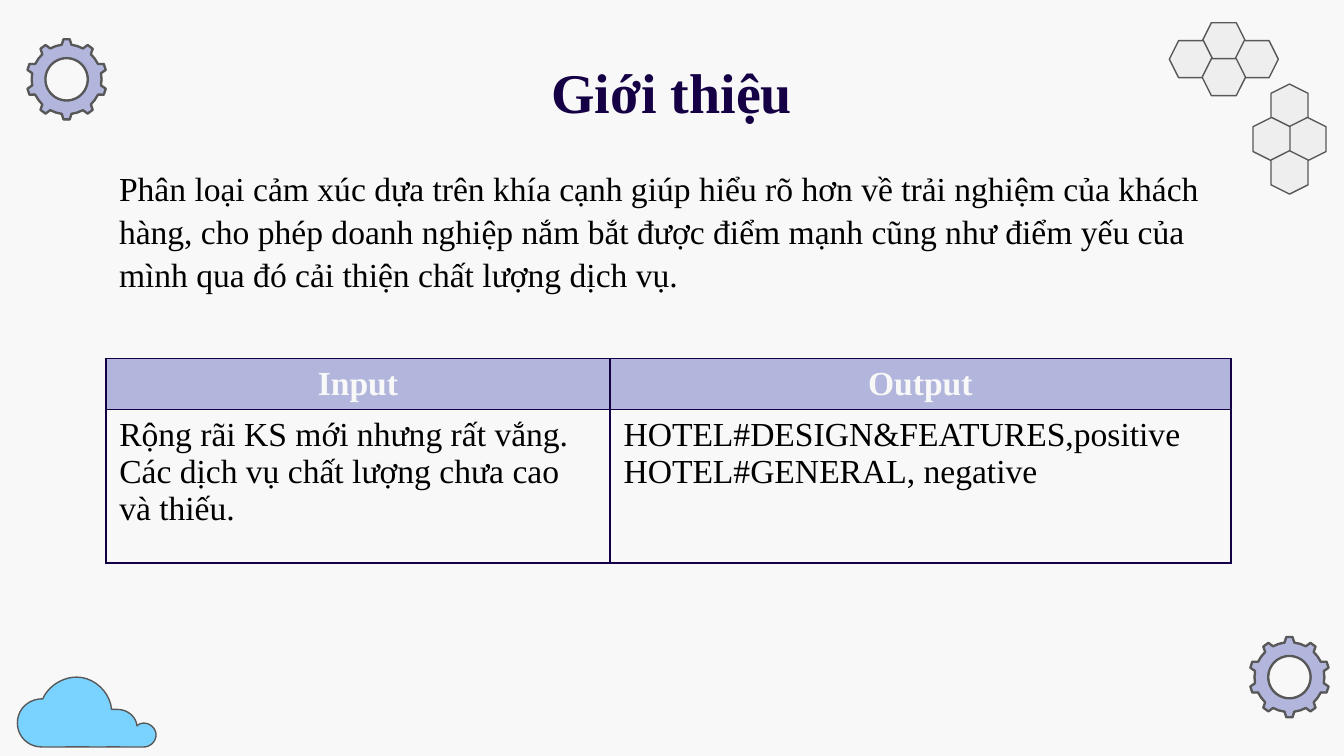
import math

from lxml import etree
from pptx import Presentation
from pptx import util as u
from pptx.dml import color
from pptx.enum import shapes, text
from pptx.oxml import ns

INK, PAPER, LILAC = "150045", "F8F8F8", "B2B6DC"
OUTLINE, SKY, PALE, BLACK = "585858", "7AD3FF", "EEEEEE", "000000"

CLOUD_START = (1.45, 12.8)
CLOUD_CURVES = [
    [(1.17, 12.8), (0.91, 12.98), (0.81, 13.21)],
    [(0.53, 13.21), (0.33, 13.41), (0.33, 13.67)],
    [(0.33, 13.92), (0.53, 14.12), (0.79, 14.12)],
    [(1.43, 14.12), (2.08, 14.12), (2.72, 14.12)],
    [(2.84, 14.12), (2.95, 14.02), (2.95, 13.89)],
    [(2.95, 13.77), (2.84, 13.67), (2.72, 13.67)],
    [(2.67, 13.67), (2.62, 13.69), (2.59, 13.72)],
    [(2.57, 13.54), (2.41, 13.41), (2.21, 13.41)],
    [(2.18, 13.41), (2.13, 13.41), (2.11, 13.41)],
    [(2.08, 13.08), (1.78, 12.8), (1.45, 12.8)],
]


def rgb(value):
    return color.RGBColor.from_string(value)


def write(frame, words, size=18, ink=BLACK, bold=False,
          align=text.PP_ALIGN.LEFT, spacing=None):
    paragraph = frame.paragraphs[0]
    paragraph.text = words
    paragraph.alignment = align
    if spacing:
        paragraph.line_spacing = spacing
    for run in paragraph.runs:
        run.font.name = "Times New Roman"
        run.font.size = u.Pt(size)
        run.font.bold = bold
        run.font.color.rgb = rgb(ink)


def smooth_outline(start, curves, steps=10):
    points = [start]
    for a, b, end in curves:
        p = points[-1]
        for i in range(1, steps + 1):
            t = i / steps
            s = 1 - t
            points.append(tuple(
                s**3 * p[k] + 3 * s * s * t * a[k] + 3 * s * t * t * b[k] + t**3 * end[k]
                for k in (0, 1)))
    return points


def polar(cx, cy, radius, degrees):
    angle = math.radians(degrees)
    return cx + radius * math.cos(angle), cy + radius * math.sin(angle)


class SlideBuilder:
    def __init__(self, deck):
        self.slide = deck.slides.add_slide(deck.slide_layouts[5])
        self.slide.background.fill.solid()
        self.slide.background.fill.fore_color.rgb = rgb(PAPER)

    def dress(self, shape, fill, width=0.75):
        shape.shadow.inherit = False
        if fill:
            shape.fill.solid()
            shape.fill.fore_color.rgb = rgb(fill)
        else:
            shape.fill.background()
        shape.line.color.rgb = rgb(OUTLINE)
        shape.line.width = u.Pt(width)

    def outline(self, contours, fill, width=0.75):
        contours = [[(u.Cm(x), u.Cm(y)) for x, y in contour] for contour in contours]
        builder = self.slide.shapes.build_freeform(*contours[0][0])
        for i, contour in enumerate(contours):
            if i:
                builder.move_to(*contour[0])
            builder.add_line_segments(contour[1:], close=True)
        self.dress(builder.convert_to_shape(), fill, width)

    def gear(self, cx, cy, teeth=10):
        profile = [(0.66, -8), (0.76, -4.5), (0.76, 4.5), (0.66, 8), (0.66, 18)]
        rim = [polar(cx, cy, radius, tooth * 360 / teeth - 90 + turn)
               for tooth in range(teeth) for radius, turn in profile]
        hole = [polar(cx, cy, 0.4, -turn) for turn in range(0, 360, 6)]
        self.outline([rim, hole], LILAC)
        self.outline([rim, hole], None, 1.25)

    def honeycomb(self, cx, cy, rotation=0):
        width, height = 0.82, 0.7
        dx, dy = (0.34, 0.63) if rotation else (0.62, 0.34)
        for x, y in [(0, -dy), (dx, 0), (-dx, 0), (0, dy)]:
            cell = self.slide.shapes.add_shape(
                shapes.MSO_SHAPE.HEXAGON, u.Cm(cx + x - width / 2),
                u.Cm(cy + y - height / 2), u.Cm(width), u.Cm(height))
            cell.adjustments[0] = 0.25
            cell.rotation = rotation
            self.dress(cell, PALE)

    def title(self, words, left, top, width, height):
        heading = self.slide.shapes.title
        heading.left, heading.top = u.Cm(left), u.Cm(top)
        heading.width, heading.height = u.Cm(width), u.Cm(height)
        frame = heading.text_frame
        frame.auto_size = text.MSO_AUTO_SIZE.NONE
        frame.vertical_anchor = text.MSO_ANCHOR.TOP
        frame.margin_top = frame.margin_bottom = u.Cm(0.25)
        write(frame, words, size=30, ink=INK, bold=True,
              align=text.PP_ALIGN.CENTER, spacing=1.07)

    def passage(self, words, left, top, width, height):
        box = self.slide.shapes.add_textbox(u.Cm(left), u.Cm(top), u.Cm(width), u.Cm(height))
        box.text_frame.word_wrap = True
        box.text_frame.auto_size = text.MSO_AUTO_SIZE.SHAPE_TO_FIT_TEXT
        write(box.text_frame, words, spacing=1.07)

    def border(self, cell):
        properties = cell._tc.get_or_add_tcPr()
        for side in ("a:lnL", "a:lnR", "a:lnT", "a:lnB"):
            line = etree.SubElement(properties, ns.qn(side), w=str(u.Pt(1)))
            fill = etree.SubElement(line, ns.qn("a:solidFill"))
            etree.SubElement(fill, ns.qn("a:srgbClr"), val=INK)

    def table(self, rows, left, top, widths, heights):
        grid = self.slide.shapes.add_table(
            len(rows), len(widths), u.Cm(left), u.Cm(top),
            u.Cm(sum(widths)), u.Cm(sum(heights))).table
        grid.horz_banding = False
        for column, width in zip(grid.columns, widths):
            column.width = u.Cm(width)
        for r, row in enumerate(rows):
            grid.rows[r].height = u.Cm(heights[r])
            for c, words in enumerate(row):
                cell = grid.cell(r, c)
                self.border(cell)
                if r == 0:
                    cell.fill.solid()
                    cell.fill.fore_color.rgb = rgb(LILAC)
                    write(cell.text_frame, words, ink=PAPER, bold=True,
                          align=text.PP_ALIGN.CENTER)
                else:
                    cell.fill.background()
                    write(cell.text_frame, words)


def main():
    deck = Presentation()
    deck.slide_width, deck.slide_height = u.Cm(25.4), u.Cm(14.29)
    intro = SlideBuilder(deck)
    intro.outline([smooth_outline(CLOUD_START, CLOUD_CURVES)], SKY)
    intro.honeycomb(24.37, 2.63, rotation=90)
    intro.gear(24.37, 12.8)
    intro.honeycomb(23.13, 1.12)
    intro.gear(1.26, 1.5)
    intro.title("Giới thiệu", 2, 0.74, 21.4, 1.6)
    intro.table(
        [("Input", "Output"),
         ("Rộng rãi KS mới nhưng rất vắng. Các dịch vụ chất lượng chưa cao và thiếu.",
          "HOTEL#DESIGN&FEATURES,positive\nHOTEL#GENERAL, negative")],
        2, 6.78, widths=(9.53, 11.73), heights=(0.9, 2.9))
    intro.passage(
        "Phân loại cảm xúc dựa trên khía cạnh giúp hiểu rõ hơn về trải nghiệm của "
        "khách hàng, cho phép doanh nghiệp nắm bắt được điểm mạnh cũng như điểm yếu "
        "của mình qua đó cải thiện chất lượng dịch vụ.", 2, 3, 21.4, 2.56)
    deck.save("out.pptx")


if __name__ == "__main__":
    main()
